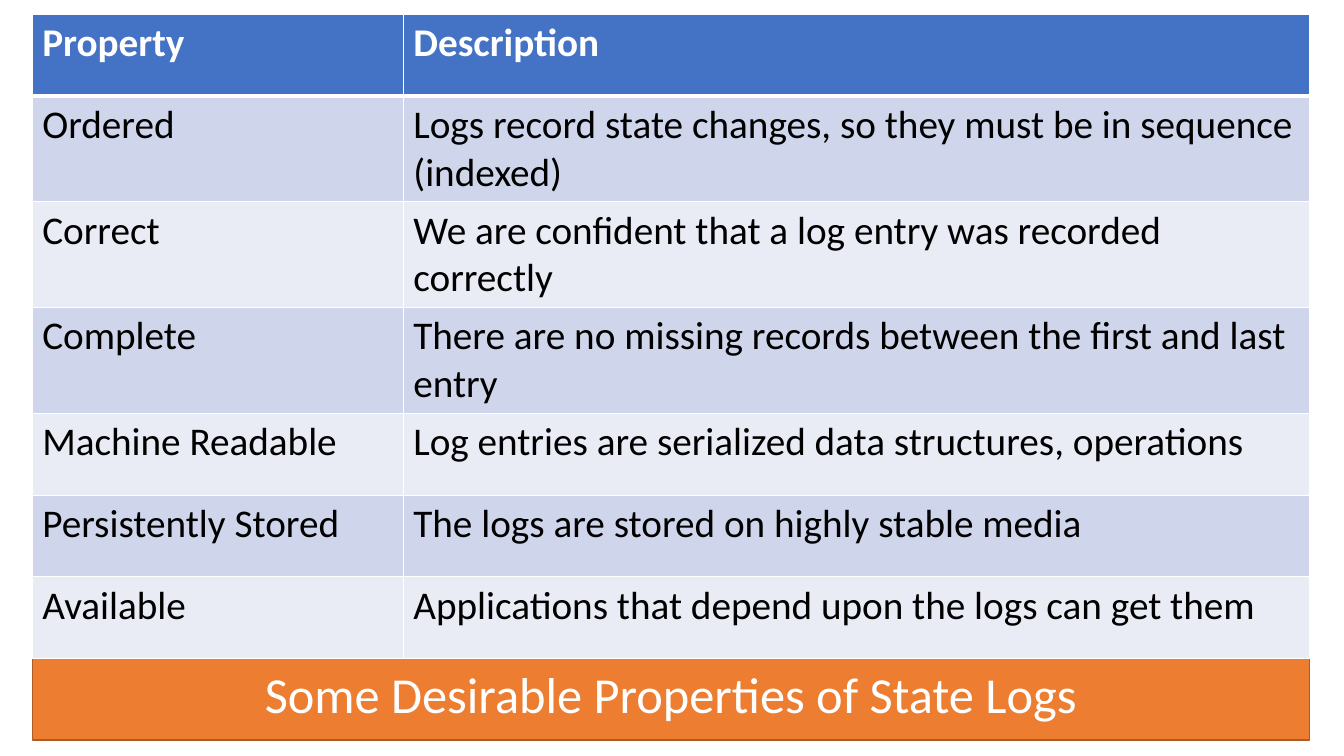
from dataclasses import dataclass

from lxml.etree import SubElement
from pptx import Presentation
from pptx.dml.color import RGBColor
from pptx.enum.text import MSO_ANCHOR, PP_ALIGN
from pptx.oxml.ns import qn
from pptx.util import Inches, Pt


@dataclass(frozen=True)
class Theme:
    font: str = "Calibri"
    title_size: int = 36
    table_size: int = 28
    light: str = "FFFFFF"
    dark: str = "000000"
    banner: str = "ED7D31"
    banner_edge: str = "AF5C24"
    header: str = "4472C4"
    bands: tuple = ("CFD5EA", "E9EBF5")


THEME = Theme()
LEFT, WIDTH = 0.32, 12.67
COLUMN_WIDTHS = (3.68, 8.99)
ROW_HEIGHTS = (0.81, 0.81, 0.94, 0.81, 0.81, 0.81, 0.81)
PROPERTIES = (
    ("Property", "Description"),
    ("Ordered", "Logs record state changes, so they must be in sequence (indexed)"),
    ("Correct", "We are confident that a log entry was recorded correctly"),
    ("Complete", "There are no missing records between the first and last entry"),
    ("Machine Readable", "Log entries are serialized data structures, operations"),
    ("Persistently Stored", "The logs are stored on highly stable media"),
    ("Available", "Applications that depend upon the logs can get them"),
)


def write_text(frame, text, *, size, color, bold=False, align=PP_ALIGN.LEFT, spacing=None):
    frame.word_wrap = True
    paragraph = frame.paragraphs[0]
    paragraph.alignment = align
    paragraph.line_spacing = spacing
    run = paragraph.add_run()
    run.text = text
    run.font.name = THEME.font
    run.font.size = Pt(size)
    run.font.bold = bold
    run.font.color.rgb = RGBColor.from_string(color)


def paint(fill, color):
    fill.solid()
    fill.fore_color.rgb = RGBColor.from_string(color)


def add_borders(cell, **widths):
    properties = cell._tc.get_or_add_tcPr()
    for side in "LRTB":
        border = SubElement(properties, qn(f"a:ln{side}"), w=str(Pt(widths.get(side, 1))))
        SubElement(SubElement(border, qn("a:solidFill")), qn("a:srgbClr"), val=THEME.light)


def add_banner(slide, text):
    banner = slide.shapes.title
    banner.left, banner.top = Inches(LEFT), Inches(6.5)
    banner.width, banner.height = Inches(WIDTH), Inches(0.84)
    paint(banner.fill, THEME.banner)
    banner.line.color.rgb = RGBColor.from_string(THEME.banner_edge)
    banner.line.width = Pt(1)
    banner.text_frame.vertical_anchor = MSO_ANCHOR.MIDDLE
    write_text(banner.text_frame, text, size=THEME.title_size, color=THEME.light,
               align=PP_ALIGN.CENTER, spacing=0.9)


def add_property_table(slide, rows):
    frame = slide.shapes.add_table(len(rows), len(COLUMN_WIDTHS), Inches(LEFT),
                                   Inches(0.14), Inches(WIDTH), Inches(6.35))
    table = frame.table
    for column, width in zip(table.columns, COLUMN_WIDTHS):
        column.width = Inches(width)
    for row, height in zip(table.rows, ROW_HEIGHTS):
        row.height = Inches(height)
    frame.height = Inches(6.35)
    for row_index, entries in enumerate(rows):
        is_header = row_index == 0
        background = THEME.header if is_header else THEME.bands[(row_index - 1) % 2]
        for column_index, entry in enumerate(entries):
            cell = table.cell(row_index, column_index)
            add_borders(cell, T=3 if row_index == 1 else 1, B=3 if is_header else 1)
            paint(cell.fill, background)
            write_text(cell.text_frame, entry, size=THEME.table_size, bold=is_header,
                       color=THEME.light if is_header else THEME.dark)


def main():
    deck = Presentation()
    deck.slide_width, deck.slide_height = Inches(13.33), Inches(7.5)
    slide = deck.slides.add_slide(deck.slide_layouts.get_by_name("Title Only"))
    paint(slide.background.fill, THEME.light)
    add_banner(slide, "Some Desirable Properties of State Logs")
    add_property_table(slide, PROPERTIES)
    deck.save("out.pptx")


if __name__ == "__main__":
    main()
